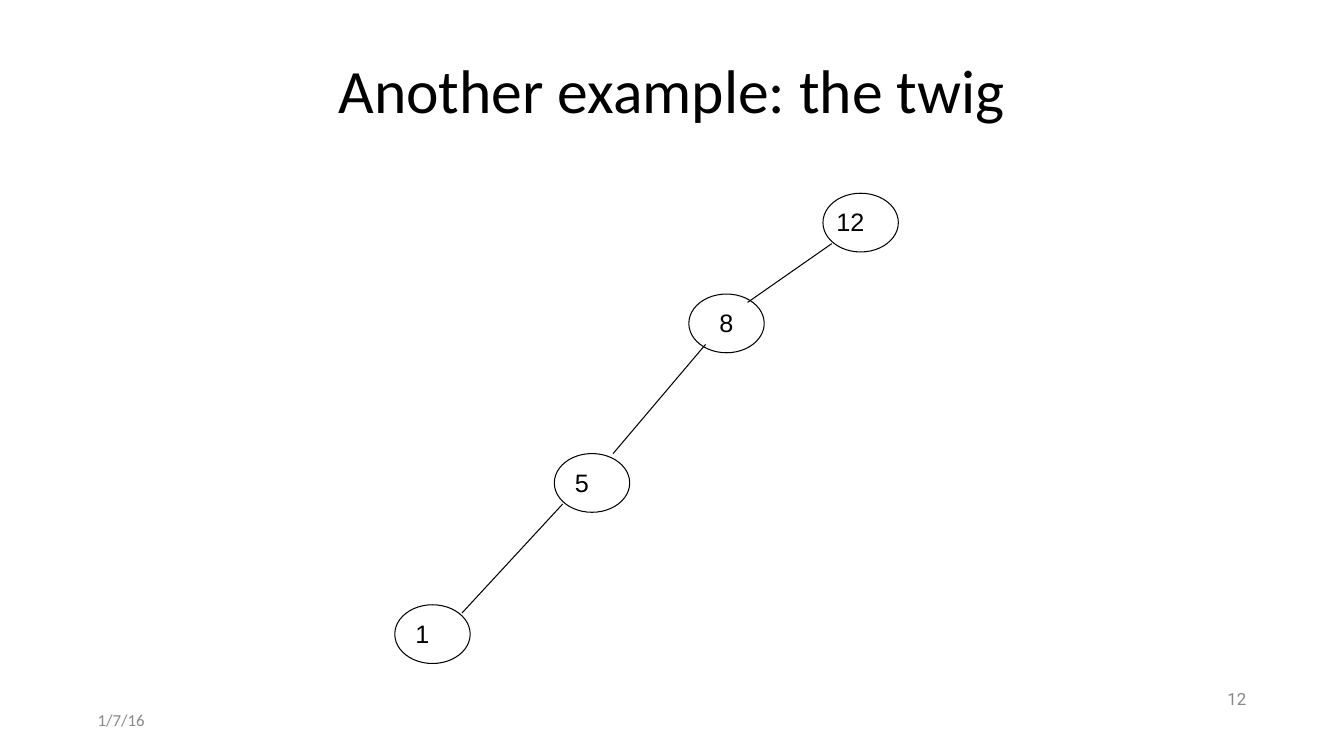
from lxml import etree
from pptx import Presentation
from pptx import util as u
from pptx.dml.color import RGBColor
from pptx.enum import shapes, text
from pptx.oxml.ns import qn

COLORS = {"ink": "000000", "footer": "888888"}
NODE_SIZE = (1.9, 1.48)
LABEL_SIZE = (1.69, 0.97)
LABEL_DROP = 0.21
INSET = 0.13

# label, left and top of the ellipse, indent of the label (cm)
NODES = [
    ("12", 20.74, 4.87, 0.21),
    ("8", 17.36, 7.41, 0.64),
    (" 5", 13.97, 11.43, 0.21),
    (" 1", 9.95, 15.24, 0.21),
]
# start x, y and end x, y (cm)
EDGES = [
    (18.84, 7.62, 20.96, 6.14),
    (15.45, 11.43, 17.78, 8.68),
    (11.64, 15.45, 14.18, 12.7),
]


def rgb(name):
    return RGBColor.from_string(COLORS[name])


def style_line(line):
    line.color.rgb = rgb("ink")
    line.width = u.Pt(0.75)


def add_text(slide, content, left, top, width, height, *, size, font,
             color="ink", align=text.PP_ALIGN.LEFT,
             anchor=text.MSO_ANCHOR.MIDDLE, spacing=1.0):
    box = slide.shapes.add_textbox(*map(u.Cm, (left, top, width, height)))
    tf = box.text_frame
    tf.word_wrap = True
    tf.vertical_anchor = anchor
    tf.margin_left = tf.margin_right = u.Cm(INSET)
    tf.margin_top = tf.margin_bottom = u.Cm(INSET)
    p = tf.paragraphs[0]
    p.alignment = align
    p.line_spacing = spacing
    r = p.add_run()
    r.text = content
    r.font.size = u.Pt(size)
    r.font.name = font
    r.font.color.rgb = rgb(color)


def add_node(slide, label, left, top, indent):
    add_text(slide, label, left + indent, top + LABEL_DROP, *LABEL_SIZE,
             size=18, font="Arial", anchor=text.MSO_ANCHOR.TOP)
    sp = slide.shapes.add_shape(shapes.MSO_SHAPE.OVAL,
                                *map(u.Cm, (left, top, *NODE_SIZE)))
    sp.shadow.inherit = False
    sp.fill.background()
    style_line(sp.line)


def add_edge(slide, *ends):
    edge = slide.shapes.add_connector(shapes.MSO_CONNECTOR.STRAIGHT,
                                      *map(u.Cm, ends))
    style_line(edge.line)
    etree.SubElement(edge._element.spPr, qn("a:effectLst"))


def main():
    prs = Presentation()
    prs.slide_width, prs.slide_height = u.Cm(33.87), u.Cm(19.05)
    slide = prs.slides.add_slide(prs.slide_layouts[6])

    add_text(slide, "Another example: the twig", 2.33, 1.01, 29.21, 2.72,
             size=44, font="Calibri", align=text.PP_ALIGN.CENTER, spacing=0.9)
    add_text(slide, "1/7/16", 2.33, 17.78, 7.62, 0.74,
             size=12, font="Calibri", color="footer")
    add_text(slide, "12", 23.92, 17.27, 7.62, 0.74, size=12, font="Roboto",
             color="footer", align=text.PP_ALIGN.RIGHT, spacing=0.9)
    for node in NODES:
        add_node(slide, *node)
    for edge in EDGES:
        add_edge(slide, *edge)

    prs.save("out.pptx")


if __name__ == "__main__":
    main()
